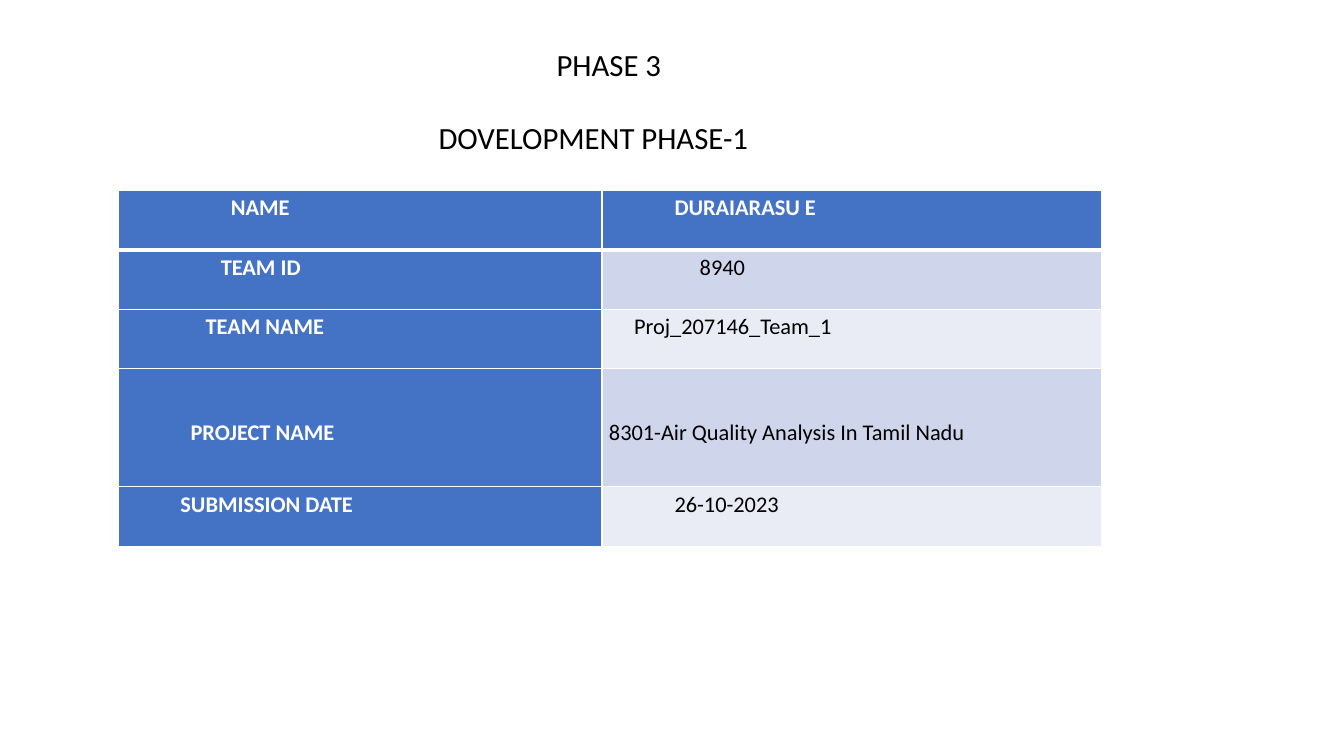
from dataclasses import dataclass

from lxml import etree
from pptx import Presentation
from pptx import util as u
from pptx.dml.color import RGBColor
from pptx.enum import text
from pptx.oxml.ns import qn


@dataclass(frozen=True)
class Theme:
    font: str = "Calibri"
    title_size: int = 22
    table_size: int = 16
    white: str = "FFFFFF"
    black: str = "000000"
    accent: str = "4472C4"
    bands: tuple = ("CFD5EA", "E9EBF5")
    line: int = 1
    header_line: int = 3


class Deck:
    def __init__(self, theme):
        self.theme = theme
        self.prs = Presentation()
        self.prs.slide_width = u.Inches(13.33)
        self.prs.slide_height = u.Inches(7.5)
        self.s = self.prs.slides.add_slide(self.prs.slide_layouts[5])

    def style(self, p, size, color, bold=False):
        p.font.name = self.theme.font
        p.font.size = u.Pt(size)
        p.font.bold = bold
        p.font.color.rgb = RGBColor.from_string(color)
        p.alignment = text.PP_ALIGN.LEFT

    def title(self, lines, left, top, width, height):
        sp = self.s.shapes.title
        sp.left, sp.top = u.Inches(left), u.Inches(top)
        sp.width, sp.height = u.Inches(width), u.Inches(height)
        tf = sp.text_frame
        tf.text = "\n".join(line for line, indent in lines)
        tf.word_wrap = True
        tf.auto_size = text.MSO_AUTO_SIZE.NONE
        tf.vertical_anchor = text.MSO_ANCHOR.TOP
        tf.margin_top = u.Inches(0.07)
        for i, (p, (line, indent)) in enumerate(zip(tf.paragraphs, lines)):
            self.style(p, self.theme.title_size, self.theme.black)
            p.line_spacing = 1.0
            p.space_before = u.Pt(26 if i else 0)
            p._p.get_or_add_pPr().set("marL", str(u.Inches(indent)))

    def border(self, cell, side, width):
        ln = etree.SubElement(cell._tc.get_or_add_tcPr(), qn(f"a:ln{side}"),
                              w=str(u.Pt(width)))
        fill = etree.SubElement(ln, qn("a:solidFill"))
        etree.SubElement(fill, qn("a:srgbClr"), val=self.theme.white)

    def cell(self, cell, label, indent, top, row, col):
        th = self.theme
        heading = row == 0 or col == 0
        for side in "LRTB":
            thick = (row, side) in ((0, "B"), (1, "T"))
            self.border(cell, side, th.header_line if thick else th.line)
        cell.fill.solid()
        cell.fill.fore_color.rgb = RGBColor.from_string(
            th.accent if heading else th.bands[(row - 1) % 2])
        cell.margin_left, cell.margin_right = u.Inches(indent), u.Inches(0.07)
        cell.margin_top, cell.margin_bottom = u.Inches(top), 0
        cell.text = label
        p = cell.text_frame.paragraphs[0]
        self.style(p, th.table_size, th.white if heading else th.black, heading)
        p.line_spacing = 1.15
        p.space_after = u.Pt(10)

    def table(self, rows, left, top, widths):
        height = sum(row[0] for row in rows)
        frame = self.s.shapes.add_table(
            len(rows), len(widths), u.Inches(left), u.Inches(top),
            u.Inches(sum(widths)), u.Inches(height))
        table = frame.table
        for column, width in zip(table.columns, widths):
            column.width = u.Inches(width)
        for r, (row_height, text_top, *cells) in enumerate(rows):
            table.rows[r].height = u.Inches(row_height)
            for c, (label, indent) in enumerate(cells):
                self.cell(table.cell(r, c), label, indent, text_top, r, c)


def main():
    deck = Deck(Theme())
    deck.title([("PHASE 3", 1.58), ("DOVELOPMENT PHASE-1", 0.41)],
               3.84, 0.38, 9.49, 1.51)
    deck.table([
        (0.59, 0, ("NAME", 1.12), ("DURAIARASU E", 0.72)),
        (0.59, 0, ("TEAM ID", 1.02), ("8940", 0.97)),
        (0.59, 0, ("TEAM NAME", 0.87), ("Proj_207146_Team_1", 0.32)),
        (1.17, 0.46, ("PROJECT NAME", 0.72),
         ("8301-Air Quality Analysis In Tamil Nadu", 0.07)),
        (0.59, 0, ("SUBMISSION DATE", 0.62), ("26-10-2023", 0.72)),
    ], 1.17, 1.89, (4.8, 4.96))
    deck.prs.save("out.pptx")


if __name__ == "__main__":
    main()
